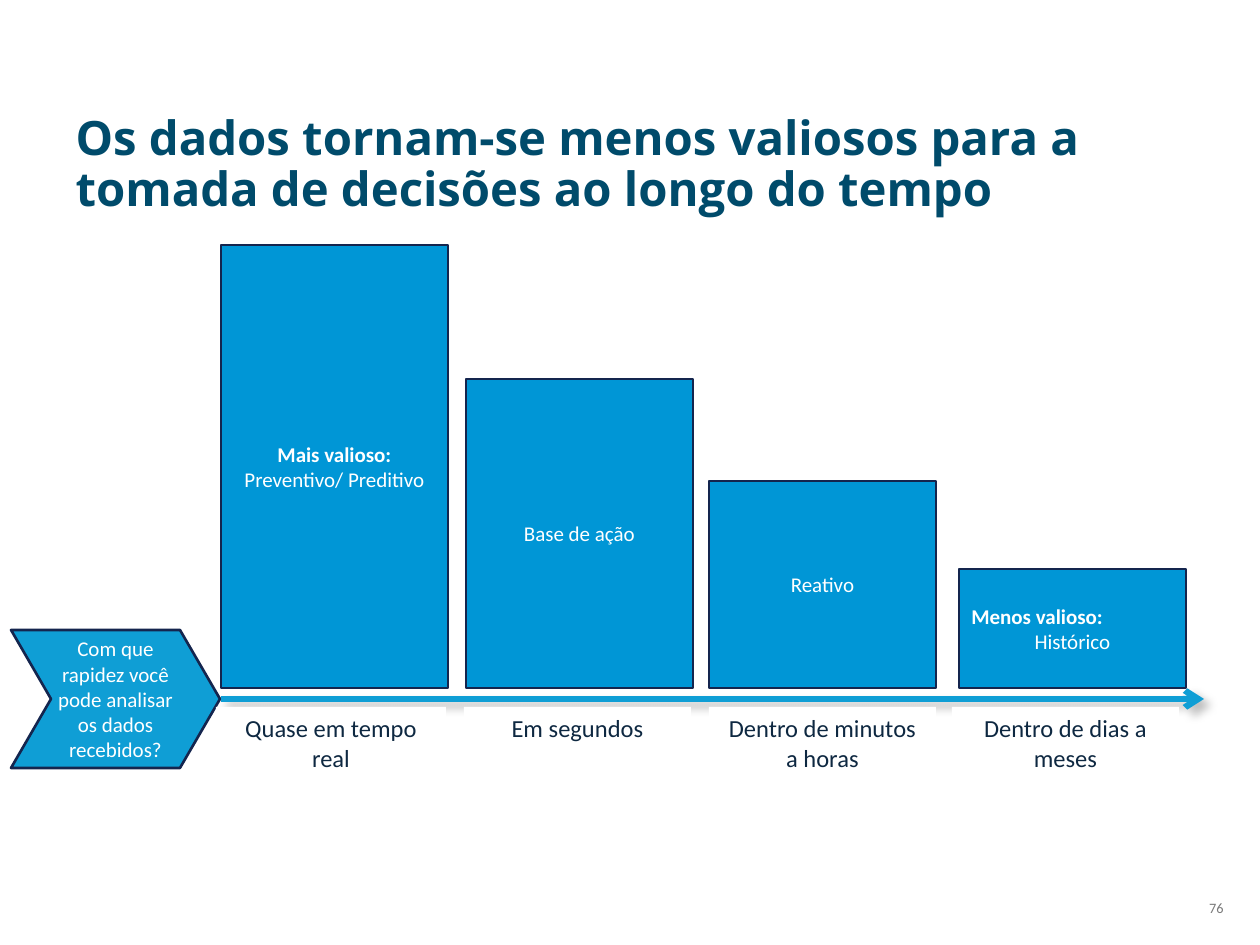
"""Build a slide on how data loses decision value over time."""
from dataclasses import dataclass

import pptx
import pptx.dml.color
import pptx.enum.shapes
import pptx.enum.text
import pptx.oxml
import pptx.oxml.ns
import pptx.util

SHAPE = pptx.enum.shapes.MSO_SHAPE
ALIGN = pptx.enum.text.PP_ALIGN
ANCHOR = pptx.enum.text.MSO_ANCHOR
BAR_BOTTOM, BAR_W = 688, 227
LABEL_TOP, AXIS_Y = 707, 699


@dataclass(frozen=True)
class Theme:
    title: str = "004B6B"
    bar: str = "0096D6"
    accent: str = "0F9ED5"
    outline: str = "14254E"
    label: str = "0E2841"
    light: str = "FFFFFF"
    number: str = "797979"
    title_font: str = "Open Sans"
    body_font: str = "Calibri"
    title_size: float = 27
    label_size: float = 14
    body_size: float = 12
    number_size: float = 8.2


@dataclass(frozen=True)
class Run:
    text: str
    bold: bool = False


@dataclass(frozen=True)
class Para:
    runs: tuple[Run, ...]
    align: ALIGN = ALIGN.CENTER


@dataclass(frozen=True)
class Box:
    x: int
    y: int
    w: int
    h: int

    def emu(self) -> tuple:
        return tuple(px(v) for v in (self.x, self.y, self.w, self.h))


@dataclass(frozen=True)
class Stage:
    bar_x: int
    bar_h: int
    paras: tuple[Para, ...]
    label: str
    label_x: int
    label_w: int = BAR_W
    label_h: int = 72


THEME = Theme()
STAGES = (
    Stage(221, 443, (Para((Run("Mais valioso: ", True), Run("Preventivo/ Preditivo"))),),
          "Quase em tempo real", 216, 230),
    Stage(466, 309, (Para((Run("Base de ação"),)),), "Em segundos", 464, label_h=43),
    Stage(709, 207, (Para((Run("Reativo"),)),), "Dentro de minutos a horas", 709),
    Stage(959, 119, (Para((Run("Menos valioso:", True),), ALIGN.LEFT),
                     Para((Run("Histórico"),))),
          "Dentro de dias a meses", 952),
)


def px(value: int) -> pptx.util.Emu:
    return pptx.util.Emu(round(value * 914400 / 126))


def rgb(value: str) -> pptx.dml.color.RGBColor:
    return pptx.dml.color.RGBColor.from_string(value)


def write(tf, paras: tuple[Para, ...], size: float, color: str,
          anchor=ANCHOR.MIDDLE, font: str = THEME.body_font) -> None:
    tf.word_wrap = True
    tf.vertical_anchor = anchor
    for i, para in enumerate(paras):
        p = tf.add_paragraph() if i else tf.paragraphs[0]
        p.alignment = para.align
        for run in para.runs:
            r = p.add_run()
            r.text = run.text
            r.font.name = font
            r.font.size = pptx.util.Pt(size)
            r.font.bold = run.bold
            r.font.color.rgb = rgb(color)


def add_block(shapes, kind: SHAPE, box: Box, fill: str, outlined: bool = True):
    sp = shapes.add_shape(kind, *box.emu())
    sp.shadow.inherit = False
    sp.fill.solid()
    sp.fill.fore_color.rgb = rgb(fill)
    if outlined:
        sp.line.color.rgb = rgb(THEME.outline)
        sp.line.width = pptx.util.Pt(1.5)
    else:
        sp.line.fill.background()
    return sp


def add_title(s) -> None:
    sp = s.shapes.title
    sp.left, sp.top, sp.width, sp.height = Box(63, 97, 1133, 137).emu()
    text = "Os dados tornam-se menos valiosos para a tomada de decisões ao longo do tempo"
    write(sp.text_frame, (Para((Run(text, True),), ALIGN.LEFT),),
          THEME.title_size, THEME.title, font=THEME.title_font)
    sp.text_frame.paragraphs[0].line_spacing = 0.9


def add_number(s) -> None:
    sp = s.shapes.add_textbox(*Box(1186, 888, 50, 40).emu())
    write(sp.text_frame, (Para((Run("76"),), ALIGN.RIGHT),), THEME.number_size, THEME.number)


def add_question(s) -> None:
    sp = add_block(s.shapes, SHAPE.CHEVRON, Box(11, 630, 209, 138), THEME.accent)
    sp.adjustments[0] = 0.29
    tf = sp.text_frame
    tf.margin_left = tf.margin_right = 0
    text = "Com que rapidez você pode analisar os dados recebidos?"
    write(tf, (Para((Run(text),)),), THEME.body_size, THEME.light)


def add_time_axis(s) -> None:
    sp = s.shapes.add_connector(pptx.enum.shapes.MSO_CONNECTOR.STRAIGHT,
                                px(221), px(AXIS_Y), px(1204), px(AXIS_Y))
    sp.line.color.rgb = rgb(THEME.accent)
    sp.line.width = pptx.util.Pt(3.5)
    ns = pptx.oxml.ns.nsdecls("a")
    sp.line._get_or_add_ln().append(pptx.oxml.parse_xml(f'<a:tailEnd {ns} type="arrow"/>'))
    sp._element.spPr.append(pptx.oxml.parse_xml(
        f'<a:effectLst {ns}><a:outerShdw blurRad="63500" dist="53340" dir="2700000" '
        'algn="tl" rotWithShape="0"><a:srgbClr val="000000"><a:alpha val="25000"/>'
        '</a:srgbClr></a:outerShdw></a:effectLst>'))


def add_stage(s, stage: Stage) -> None:
    shapes = s.shapes.add_group_shape().shapes
    label = add_block(shapes, SHAPE.RECTANGLE,
                      Box(stage.label_x, LABEL_TOP, stage.label_w, stage.label_h),
                      THEME.light, outlined=False)
    write(label.text_frame, (Para((Run(stage.label),)),),
          THEME.label_size, THEME.label, ANCHOR.TOP)
    bar = add_block(shapes, SHAPE.RECTANGLE,
                    Box(stage.bar_x, BAR_BOTTOM - stage.bar_h, BAR_W, stage.bar_h), THEME.bar)
    write(bar.text_frame, stage.paras, THEME.body_size, THEME.light)


def main() -> None:
    prs = pptx.Presentation()
    prs.slide_width, prs.slide_height = px(1260), px(945)
    s = prs.slides.add_slide(prs.slide_layouts[5])
    add_number(s)
    add_title(s)
    add_question(s)
    add_time_axis(s)
    for stage in STAGES:
        add_stage(s, stage)
    prs.save("out.pptx")


if __name__ == "__main__":
    main()
